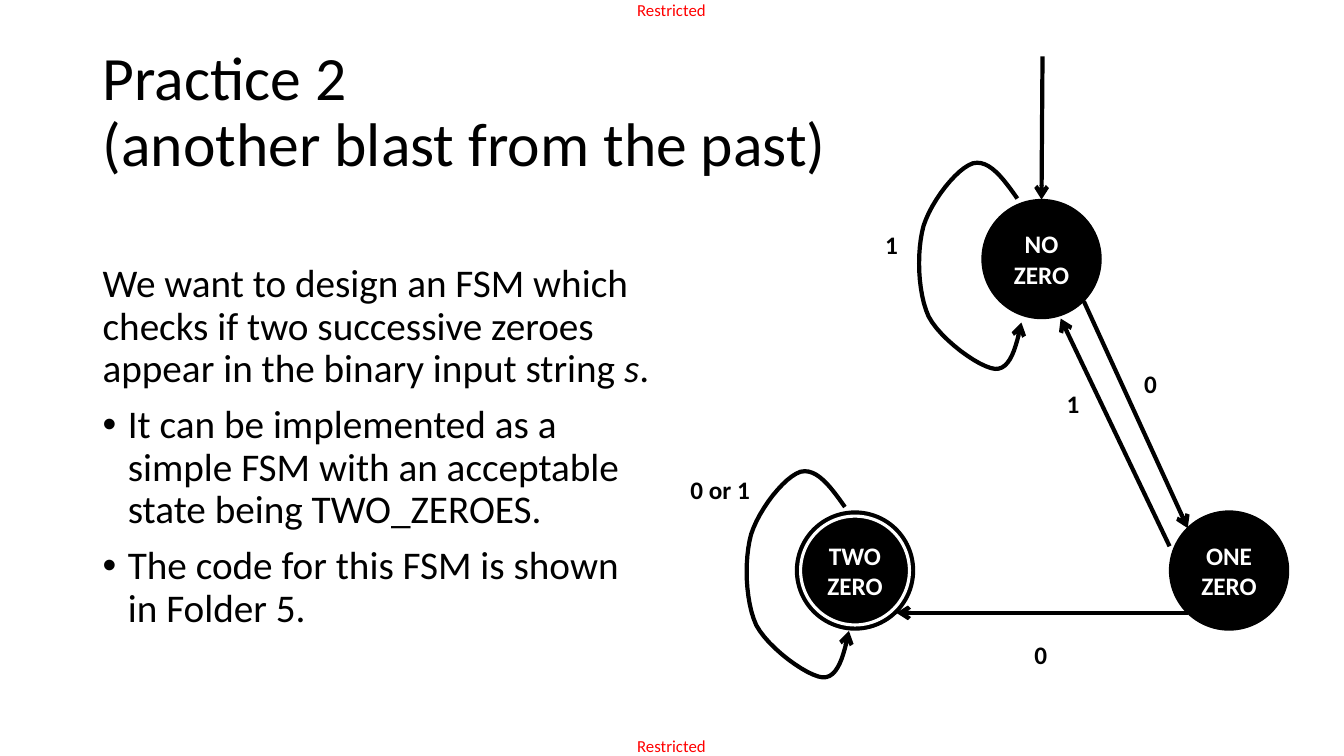
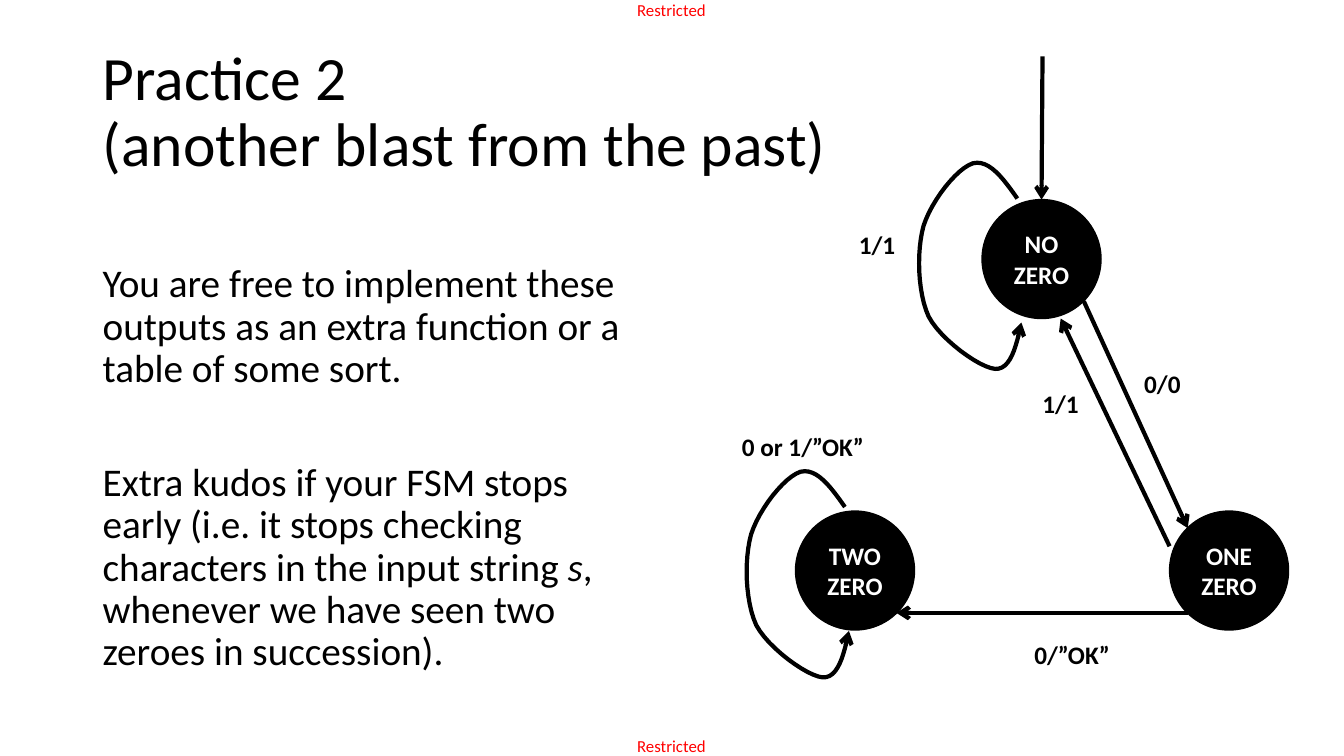
from dataclasses import dataclass

from lxml.etree import SubElement
from pptx import Presentation
from pptx.dml.color import RGBColor
from pptx.enum.shapes import MSO_CONNECTOR as Connector, MSO_SHAPE as Preset
from pptx.enum.text import MSO_ANCHOR as Anchor, PP_ALIGN as Align
from pptx.oxml.ns import qn
from pptx.util import Pt

PX = 9144


@dataclass(frozen=True)
class Theme:
    font: str = "Calibri"
    ink: RGBColor = RGBColor(0, 0, 0)
    paper: RGBColor = RGBColor(255, 255, 255)
    notice: RGBColor = RGBColor(255, 0, 0)
    title_size: int = 44
    body_size: int = 28
    state_size: int = 18
    notice_size: int = 12
    arrow_width: int = 3
    line_spacing: float = 0.9


theme = Theme()


def write(shape, text, size, color, bold=False, align=Align.LEFT, spacing=1.0, anchor=Anchor.TOP):
    frame = shape.text_frame
    frame.word_wrap = True
    frame.vertical_anchor = anchor
    frame.text = text
    for paragraph in frame.paragraphs:
        paragraph.alignment = align
        paragraph.line_spacing = spacing
        paragraph.font.name = theme.font
        paragraph.font.size = Pt(size)
        paragraph.font.bold = bold
        paragraph.font.color.rgb = color
    return frame


def make_arrow(shape):
    shape.line.color.rgb = theme.ink
    shape.line.width = Pt(theme.arrow_width)
    properties = shape.element.spPr
    SubElement(properties.find(qn("a:ln")), qn("a:tailEnd"), type="arrow")
    SubElement(properties, qn("a:effectLst"))


TITLE = "Practice 2\v(another blast from the past)"
STATE_SIZE = 118
RING_GAP = 5
NOTICE_TOPS = (0, 730)
TRANSITIONS = (
    (1075, 299, 1178, 524),
    (1178, 608, 889, 608),
    (1160, 542, 1052, 316),
)
LOOP_ORIGINS = ((741, 468), (912, 162))
LOOP_START = (97, 35)
LOOP_CURVES = (
    ((83, 15), (69, -4), (53, 0)),
    ((37, 5), (12, 37), (4, 62)),
    ((-3, 87), (-2, 128), (9, 152)),
    ((21, 175), (60, 203), (75, 204)),
    ((90, 205), (96, 182), (101, 158)),
)
CURVE_STEPS = 12

loop_outline = [LOOP_START]
for first_pull, second_pull, curve_end in LOOP_CURVES:
    corners = (loop_outline[-1], first_pull, second_pull, curve_end)
    for step in range(1, CURVE_STEPS + 1):
        t = step / CURVE_STEPS
        weights = ((1 - t) ** 3, 3 * t * (1 - t) ** 2, 3 * t**2 * (1 - t), t**3)
        loop_outline.append(
            tuple(sum(w * corner[axis] for w, corner in zip(weights, corners)) for axis in (0, 1))
        )

practices = (
    {
        "body": (
            (0, False, ("We want to design an FSM which checks if two successive zeroes "
                        "appear in the binary input string ", "s", ".")),
            (10, True, ("It can be implemented as a simple FSM with an acceptable "
                        "state being TWO_ZEROES.",)),
            (10, True, ("The code for this FSM is shown in Folder 5.",)),
        ),
        "accepting": True,
        "labels": (
            ("0", 1125, 360, 35),
            ("0", 1016, 629, 35),
            ("1", 1048, 380, 35),
            ("0 or 1", 675, 466, 110),
            ("1", 868, 223, 35),
        ),
    },
    {
        "body": (
            (0, False, ("You are free to implement these outputs as an extra function "
                        "or a table of some sort.",)),
            (51, False, ("Extra kudos if your FSM stops early (i.e. it stops checking "
                         "characters in the input string ", "s",
                         ", whenever we have seen two zeroes in succession).")),
        ),
        "accepting": False,
        "labels": (
            ("0/0", 1125, 360, 59),
            ("0/”OK”", 1016, 629, 101),
            ("1/1", 1024, 380, 59),
            ("0 or 1/”OK”", 726, 423, 156),
            ("1/1", 842, 223, 62),
        ),
    },
)

deck = Presentation()
deck.slide_width = 1333 * PX
deck.slide_height = 750 * PX

for practice in practices:
    slide = deck.slides.add_slide(deck.slide_layouts[6])
    shapes = slide.shapes

    for top in NOTICE_TOPS:
        notice = shapes.add_textbox(632 * PX, top * PX, 73 * PX, 20 * PX)
        frame = write(notice, "Restricted", theme.notice_size, theme.notice)
        frame.margin_left = frame.margin_right = frame.margin_top = frame.margin_bottom = 0

    title = shapes.add_textbox(92 * PX, 40 * PX, 1150 * PX, 145 * PX)
    write(title, TITLE, theme.title_size, theme.ink, spacing=theme.line_spacing, anchor=Anchor.MIDDLE)

    body = shapes.add_textbox(92 * PX, 257 * PX, 567 * PX, 419 * PX)
    openings = "\n".join(pieces[0] for _, _, pieces in practice["body"])
    frame = write(body, openings, theme.body_size, theme.ink, spacing=theme.line_spacing)
    for paragraph, (space, bulleted, pieces) in zip(frame.paragraphs, practice["body"]):
        paragraph.space_before = Pt(space)
        for position, piece in enumerate(pieces[1:]):
            run = paragraph.add_run()
            run.text = piece
            run.font.italic = position == 0
        if bulleted:
            properties = paragraph._p.get_or_add_pPr()
            properties.set("marL", str(25 * PX))
            properties.set("indent", str(-25 * PX))
            bullet_font = properties.makeelement(qn("a:buFont"), {"typeface": "Arial"})
            bullet = properties.makeelement(qn("a:buChar"), {"char": "•"})
            defaults = properties.find(qn("a:defRPr"))
            defaults.addprevious(bullet_font)
            defaults.addprevious(bullet)

    accepting = practice["accepting"]
    inner_gap = RING_GAP if accepting else 0
    states = [
        ("NO\nZERO", 974, 198, 0, False),
        ("ONE\nZERO", 1160, 507, 0, False),
        ("TWO\vZERO", 789, 507, inner_gap, accepting),
    ]
    if accepting:
        states.insert(2, ("", 789, 507, 0, False))
    circles = []
    for name, left, top, gap, ringed in states:
        size = (STATE_SIZE - 2 * gap) * PX
        circle = shapes.add_shape(Preset.OVAL, (left + gap) * PX, (top + gap) * PX, size, size)
        circle.shadow.inherit = False
        circle.fill.solid()
        circle.fill.fore_color.rgb = theme.ink
        circle.line.color.rgb = theme.paper if ringed else theme.ink
        circle.line.width = Pt(2.25 if ringed else 1)
        if name:
            write(circle, name, theme.state_size, theme.paper, True, Align.CENTER, anchor=Anchor.MIDDLE)
        circles.append(circle)

    entry = shapes.add_connector(Connector.STRAIGHT, 1034 * PX, 56 * PX, 1033 * PX, 198 * PX)
    entry.end_connect(circles[0], 0)
    make_arrow(entry)
    for ends in TRANSITIONS:
        transition = shapes.add_connector(Connector.STRAIGHT, *(end * PX for end in ends))
        make_arrow(transition)

    for left, top in LOOP_ORIGINS:
        points = [((left + x) * PX, (top + y) * PX) for x, y in loop_outline]
        builder = shapes.build_freeform(*points[0], scale=1.0)
        builder.add_line_segments(points[1:], close=False)
        loop = builder.convert_to_shape()
        loop.fill.background()
        make_arrow(loop)

    for text, left, top, width in practice["labels"]:
        label = shapes.add_textbox(left * PX, top * PX, width * PX, 40 * PX)
        write(label, text, theme.state_size, theme.ink, True)

deck.save("out.pptx")
